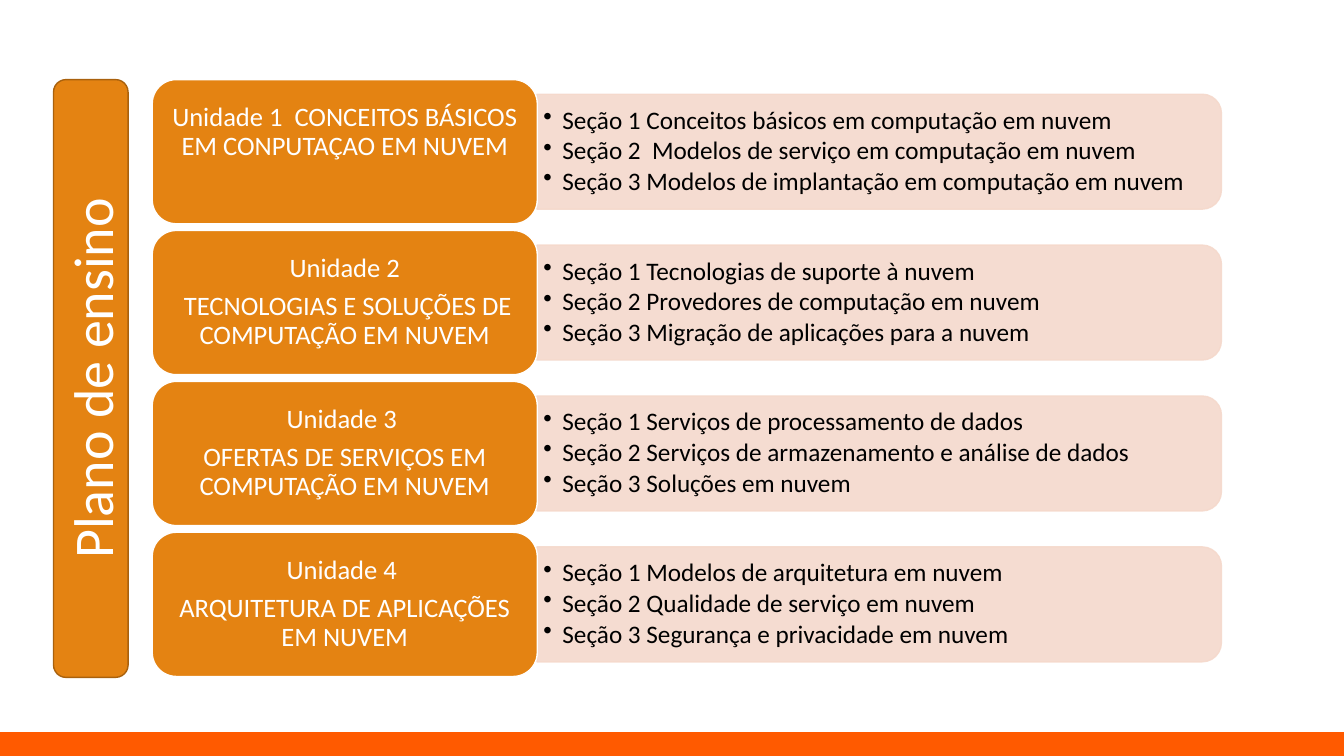
"""Builds the course plan slide: four units, each with its three sections."""
from dataclasses import dataclass
from typing import Optional

from lxml.etree import SubElement
from pptx import Presentation
from pptx.dml.color import RGBColor
from pptx.enum.shapes import MSO_SHAPE as Shape
from pptx.enum.text import MSO_ANCHOR as Anchor, PP_ALIGN as Align
from pptx.oxml.ns import qn
from pptx.util import Inches, Pt

ORANGE = RGBColor(0xE4, 0x83, 0x12)
BROWN = RGBColor(0xA9, 0x61, 0x0D)
PEACH = RGBColor(0xF5, 0xD9, 0xCC)
FOOTER = RGBColor(0xFF, 0x5A, 0x00)
WHITE = RGBColor(0xFF, 0xFF, 0xFF)
BLACK = RGBColor(0x00, 0x00, 0x00)

WIDTH, HEIGHT = Inches(13.33), Inches(7.5)
FONT = "Calibri"
ROW_TOP, ROW_PITCH, ROW_HEIGHT = 10.53, 19.96, 19.07


@dataclass(frozen=True)
class Box:
    """A frame in percent of the slide's width and height."""
    left: float
    top: float
    width: float
    height: float

    def emu(self, turned: bool = False) -> tuple[int, int, int, int]:
        x, w = (int(WIDTH * v / 100) for v in (self.left, self.width))
        y, h = (int(HEIGHT * v / 100) for v in (self.top, self.height))
        if turned:
            return x + (w - h) // 2, y + (h - w) // 2, h, w
        return x, y, w, h


@dataclass(frozen=True)
class TextStyle:
    size: float
    color: RGBColor
    align: Align = Align.CENTER
    line: float = 1.0
    after: float = 0
    bullet: bool = False


@dataclass(frozen=True)
class Unit:
    title: tuple[str, ...]
    sections: tuple[str, ...]
    foot: float = 0.11


BAR_TEXT = TextStyle(40, WHITE)
CARD_TEXT = TextStyle(19, WHITE, line=0.9, after=6.5)
SECTION_TEXT = TextStyle(18, BLACK, Align.LEFT, 0.9, 2.5, True)

UNITS = (
    Unit(("Unidade 1  CONCEITOS BÁSICOS EM CONPUTAÇAO EM NUVEM",),
         ("Seção 1 Conceitos básicos em computação em nuvem",
          "Seção 2  Modelos de serviço em computação em nuvem",
          "Seção 3 Modelos de implantação em computação em nuvem"), foot=0.49),
    Unit(("Unidade 2", " TECNOLOGIAS E SOLUÇÕES DE COMPUTAÇÃO EM NUVEM"),
         ("Seção 1 Tecnologias de suporte à nuvem",
          "Seção 2 Provedores de computação em nuvem",
          "Seção 3 Migração de aplicações para a nuvem")),
    Unit(("Unidade 3 ", "OFERTAS DE SERVIÇOS EM COMPUTAÇÃO EM NUVEM"),
         ("Seção 1 Serviços de processamento de dados",
          "Seção 2 Serviços de armazenamento e análise de dados",
          "Seção 3 Soluções em nuvem")),
    Unit(("Unidade 4 ", "ARQUITETURA DE APLICAÇÕES EM NUVEM"),
         ("Seção 1 Modelos de arquitetura em nuvem",
          "Seção 2 Qualidade de serviço em nuvem",
          "Seção 3 Segurança e privacidade em nuvem")),
)


def add_block(s, kind: Shape, box: Box, fill: RGBColor, line: RGBColor,
              turned: bool = False, alpha: Optional[int] = None):
    sp = s.shapes.add_shape(kind, *box.emu(turned))
    sp.rotation = 90 if turned else 0
    sp.shadow.inherit = False
    sp.fill.solid()
    sp.fill.fore_color.rgb = fill
    sp.line.color.rgb = line
    sp.line.width = Pt(1)
    if alpha is not None:
        for color in sp._element.spPr.iter(qn("a:srgbClr")):
            SubElement(color, qn("a:alpha"), val=str(alpha * 1000))
    return sp


def write(sp, lines: tuple[str, ...], style: TextStyle,
          insets: tuple[float, float, float, float]) -> None:
    tf = sp.text_frame
    tf.word_wrap = True
    tf.vertical_anchor = Anchor.MIDDLE
    tf.margin_left, tf.margin_top, tf.margin_right, tf.margin_bottom = map(Inches, insets)
    for i, line in enumerate(lines):
        p = tf.add_paragraph() if i else tf.paragraphs[0]
        p.alignment = style.align
        p.line_spacing = style.line
        p.space_after = Pt(style.after)
        if style.bullet:
            pPr = p._p.get_or_add_pPr()
            pPr.set("marL", str(Inches(0.19)))
            pPr.set("indent", str(-Inches(0.19)))
            SubElement(pPr, qn("a:buChar"), char="•")
        r = p.add_run()
        r.text = line
        r.font.name = FONT
        r.font.size = Pt(style.size)
        r.font.color.rgb = style.color


def centred(left: float, middle: float, width: float, height: float) -> Box:
    return Box(left, middle - height / 2, width, height)


def add_unit(s, unit: Unit, row: int) -> None:
    middle = ROW_TOP + row * ROW_PITCH + ROW_HEIGHT / 2
    add_block(s, Shape.ROUND_2_SAME_RECTANGLE, centred(39.95, middle, 50.93, 15.2),
              PEACH, PEACH, turned=True, alpha=90)
    sections = s.shapes.add_textbox(*centred(39.9, middle, 50.48, 13.73).emu())
    write(sections, unit.sections, SECTION_TEXT, (0.07, 0.04, 0.07, 0.04))
    card = add_block(s, Shape.ROUNDED_RECTANGLE, centred(11.33, middle, 28.65, ROW_HEIGHT),
                     ORANGE, WHITE)
    write(card, unit.title, CARD_TEXT, (0.08, 0.11, 0.08, unit.foot))


def main() -> None:
    prs = Presentation()
    prs.slide_width, prs.slide_height = WIDTH, HEIGHT
    s = prs.slides.add_slide(prs.slide_layouts[6])
    add_block(s, Shape.RECTANGLE, Box(0, 96.93, 100, 3.07), FOOTER, FOOTER)
    for row, unit in enumerate(UNITS):
        add_unit(s, unit, row)
    bar = add_block(s, Shape.ROUNDED_RECTANGLE, Box(3.98, ROW_TOP, 5.55, 79.07), ORANGE, BROWN)
    write(bar, ("Plano de ensino",), BAR_TEXT, (0.1, 0.05, 0.1, 0.05))
    bar.text_frame._txBody.bodyPr.set("vert", "vert270")
    prs.save("out.pptx")


if __name__ == "__main__":
    main()
